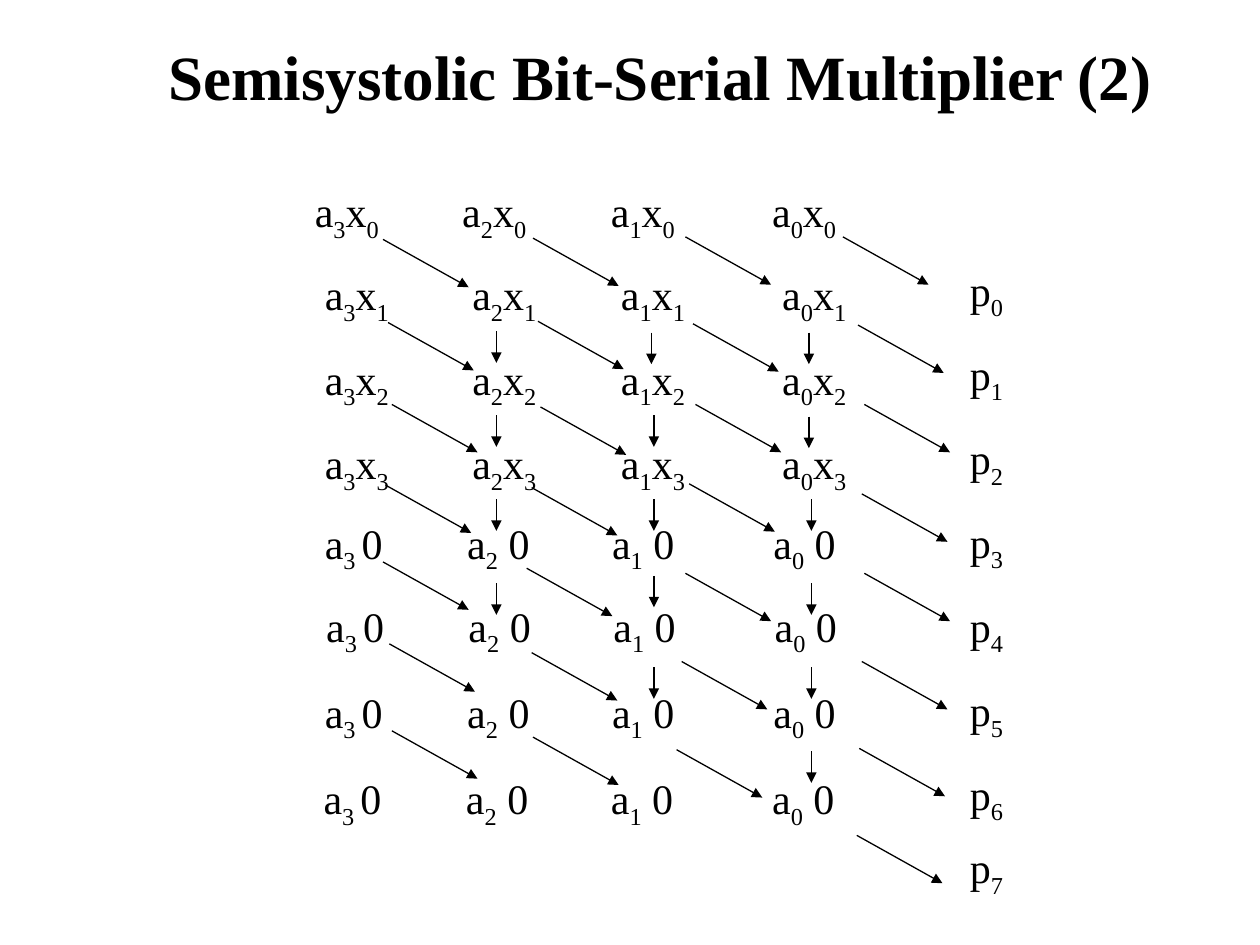
from lxml import etree
from pptx import Presentation
from pptx import util as u
from pptx.dml.color import RGBColor
from pptx.enum import shapes, text
from pptx.oxml.ns import qn

THEME = {"font": "Times New Roman", "ink": RGBColor(0, 0, 0),
         "title": 36, "body": 24, "gap": 28, "line": 0.75}

TITLE = "Semisystolic Bit-Serial Multiplier (2)"
COEFFICIENTS = "3210"
MULTIPLIER = ["0", "1", "2", "3", None, None, None, None]  # None: zero padding
OUTPUTS = "01234567"

# Grid, in inches
PITCH = 2 / 3
ROW_LEFT = [2.4, 2.48, 2.48, 2.48, 2.48, 2.49, 2.48, 2.47]
ROW_TOP = [1.37, 2.03, 2.7, 3.37, 4, 4.66, 5.34, 6.03]
ROW_SIZE = (4.44, 0.61)
BIT_TABS = (1.17, 2.35, 3.63)
ZERO_TABS = (1.13, 2.28, 3.56)
OUTPUT_LEFT, OUTPUT_TOP, LAST_OUTPUT_TOP = 7.6, 2.05, 6.63
OUTPUT_SIZE = (0.5, 0.56)

# Shift arrows: one row per clock step, one start point per column
SHIFT = (0.68, 0.38)
SHIFT_STARTS = [
    [(3.04, 1.9), (4.23, 1.89), (5.44, 1.88), (6.69, 1.88)],
    [(3.08, 2.56), (4.27, 2.55), (5.5, 2.57), (6.81, 2.58)],
    [(3.11, 3.21), (4.29, 3.23), (5.52, 3.21), (6.86, 3.21)],
    [(3.06, 3.85), (4.22, 3.87), (5.47, 3.84), (6.84, 3.92)],
    [(3.04, 4.46), (4.18, 4.51), (5.44, 4.55), (6.86, 4.55)],
    [(3.09, 5.11), (4.22, 5.18), (5.41, 5.25), (6.84, 5.25)],
    [(3.11, 5.8), (4.23, 5.85), (5.37, 5.95), (6.82, 5.94)],
    [(6.8, 6.63)],
]

# Carry arrows: column x and number of arrows going down it
CARRY_COLUMNS = [(3.94, 4), (5.19, 5), (6.44, 6)]
CARRY_TOP, CARRY_LENGTH = 2.63, 0.25
CARRY_NUDGE = {(1, 0): (-0.02, 0.01), (1, 3): (0, -0.06),
               (2, 0): (-0.02, 0.01), (2, 1): (-0.02, 0.01)}


def add_text(s, left, top, size, runs, tabs=(), align=text.PP_ALIGN.LEFT):
    """Add a one-line box; each run is (text, points, bold, subscript)."""
    tf = s.shapes.add_textbox(*map(u.Inches, (left, top, *size))).text_frame
    tf.word_wrap = True
    p = tf.paragraphs[0]
    p.alignment = align
    if tabs:
        stops = etree.SubElement(p._p.get_or_add_pPr(), qn("a:tabLst"))
        for x in tabs:
            etree.SubElement(stops, qn("a:tab"), pos=str(u.Inches(x)), algn="l")
    for words, points, bold, sub in runs:
        r = p.add_run()
        r.text = words
        for name, value in {"name": THEME["font"], "size": u.Pt(points), "bold": bold}.items():
            setattr(r.font, name, value)
        r.font.color.rgb = THEME["ink"]
        if sub:
            r._r.get_or_add_rPr().set("baseline", "-25000")


def body(words, sub=False):
    return words, THEME["body"], False, sub


def product_runs(bit):
    """Runs of one row of partial products, its terms parted by tabs."""
    runs = []
    for i, a in enumerate(COEFFICIENTS):
        if i:
            runs.append(("\t", THEME["gap"], False, False))
        runs.append(body("a"))
        if bit is not None:
            runs += [body(a, True), body("x"), body(bit, True)]
        elif i == 0:
            runs += [body(a + " ", True), body("0")]
        else:
            runs += [body(a, True), body(" 0")]
    return runs


def add_arrow(s, x, y, dx, dy):
    c = s.shapes.add_connector(shapes.MSO_CONNECTOR.STRAIGHT,
                               *map(u.Inches, (x, y, x + dx, y + dy)))
    c.line.color.rgb = THEME["ink"]
    c.line.width = u.Pt(THEME["line"])
    etree.SubElement(c.line._get_or_add_ln(), qn("a:tailEnd"), type="triangle")
    etree.SubElement(c._element.spPr, qn("a:effectLst"))


def main():
    prs = Presentation()
    prs.slide_width, prs.slide_height = u.Inches(10), u.Inches(7.5)
    s = prs.slides.add_slide(prs.slide_layouts[6])

    add_text(s, 1.19, 0.25, (8.1, 0.7), [(TITLE, THEME["title"], True, False)],
             align=text.PP_ALIGN.CENTER)

    for left, top, bit in zip(ROW_LEFT, ROW_TOP, MULTIPLIER):
        add_text(s, left, top, ROW_SIZE, product_runs(bit),
                 ZERO_TABS if bit is None else BIT_TABS)

    for i, digit in enumerate(OUTPUTS):
        top = min(OUTPUT_TOP + i * PITCH, LAST_OUTPUT_TOP)
        add_text(s, OUTPUT_LEFT, top, OUTPUT_SIZE, [body("p"), body(digit, True)])

    for row in SHIFT_STARTS:
        for x, y in row:
            add_arrow(s, x, y, *SHIFT)

    for col, (x, count) in enumerate(CARRY_COLUMNS):
        for k in range(count):
            dx, dy = CARRY_NUDGE.get((col, k), (0, 0))
            add_arrow(s, x + dx, CARRY_TOP + k * PITCH + dy, 0, CARRY_LENGTH)

    prs.save("out.pptx")


if __name__ == "__main__":
    main()
